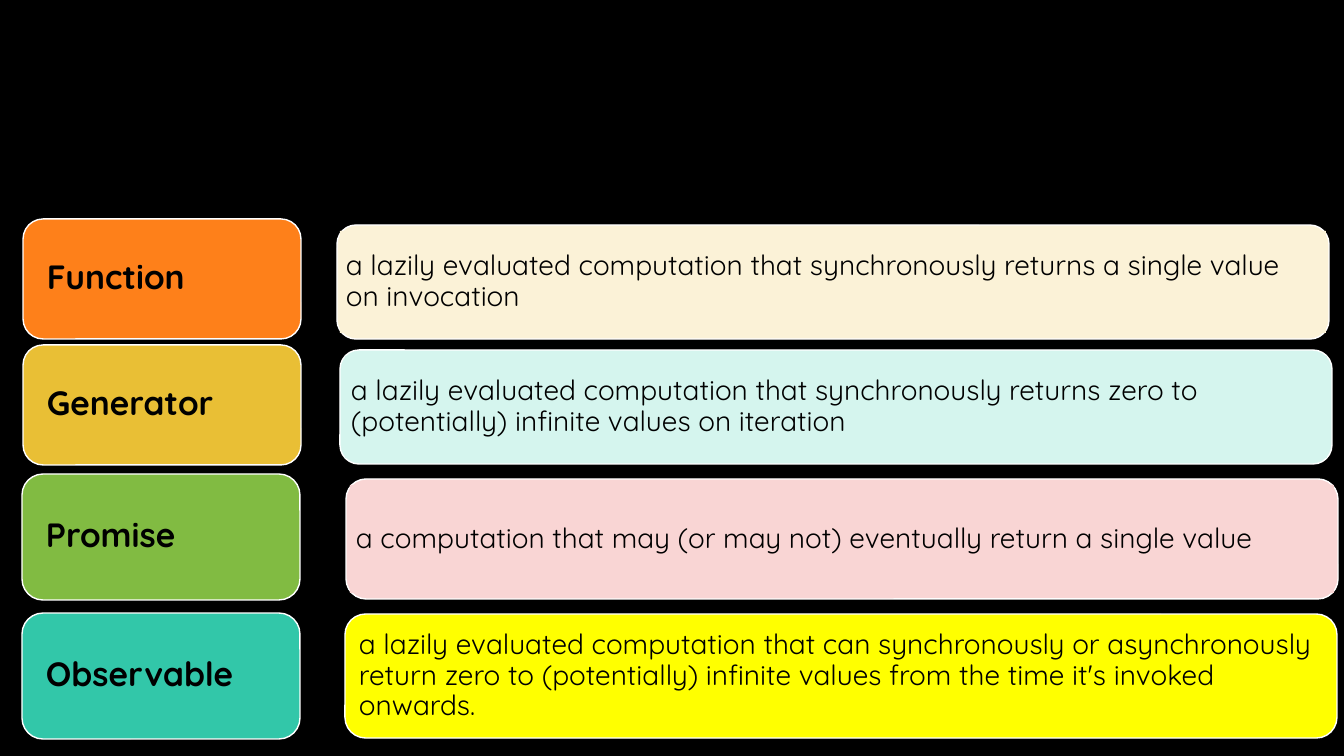
from pptx import Presentation
from pptx.dml.color import RGBColor
from pptx.enum.shapes import MSO_SHAPE
from pptx.enum.text import MSO_ANCHOR, PP_ALIGN
from pptx.util import Pt

SCALE = 914400 / 100.8


def px(*sizes):
    return [round(n * SCALE) for n in sizes]


def tint(code):
    return RGBColor.from_string(code)


class Deck:
    face, ink, edge = "Quicksand", "000000", "FFFFFF"

    def __init__(self, wide, high):
        self.prs = Presentation()
        self.prs.slide_width, self.prs.slide_height = px(wide, high)
        self.slide = self.prs.slides.add_slide(self.prs.slide_layouts[6])

    def back(self, code):
        fill = self.slide.background.fill
        fill.solid()
        fill.fore_color.rgb = tint(code)

    def shape(self, group, kind, spot, code):
        item = group.shapes.add_shape(kind, *px(*spot))
        item.shadow.inherit = False
        item.fill.solid()
        item.fill.fore_color.rgb = tint(code)
        return item

    def words(self, item, text, size, gap, bold):
        frame = item.text_frame
        inset, = px(gap)
        style = {"word_wrap": True, "vertical_anchor": MSO_ANCHOR.MIDDLE}
        for side in ("left", "top", "right", "bottom"):
            style[f"margin_{side}"] = inset
        para = frame.paragraphs[0]
        para.text = text
        lines = {"alignment": PP_ALIGN.LEFT, "line_spacing": 0.9,
                 "space_after": Pt(round(size * 0.35))}
        font = {"name": self.face, "size": Pt(size), "bold": bold}
        for part, values in ((frame, style), (para, lines), (para.runs[0].font, font)):
            for name, value in values.items():
                setattr(part, name, value)
        para.runs[0].font.color.rgb = tint(self.ink)

    def card(self, spot, pad, code, text, size, gap, bold=False):
        """Rounded card with its text area set in by pad."""
        group = self.slide.shapes.add_group_shape()
        box = self.shape(group, MSO_SHAPE.ROUNDED_RECTANGLE, spot, code)
        box.line.color.rgb = tint(self.edge)
        box.line.width = Pt(1)
        left, top, wide, high = spot
        inner = (left + pad, top + 6, wide - 2 * pad, high - 12)
        if bold:
            area = group.shapes.add_textbox(*px(*inner))
        else:
            area = self.shape(group, MSO_SHAPE.RECTANGLE, inner, code)
            area.line.fill.background()
        self.words(area, text, size, gap, bold)


# Term: left, top, height, colour, name
TERMS = [
    (23, 219, 120, "FE801A", "Function"),
    (23, 345, 120, "E9BF35", "Generator"),
    (22, 474, 126, "81BB42", "Promise"),
    (22, 613, 126, "32C7A9", "Observable"),
]

# Meaning: left, top, height, pad, inset, colour, text
NOTES = [
    (337, 225, 114, 3, 6, "FBF2D7",
     "a lazily evaluated computation that synchronously returns a single value on invocation"),
    (340, 350, 114, 5, 6, "D5F5EE",
     "a lazily evaluated computation that synchronously returns zero to "
     "(potentially) infinite values on iteration"),
    (346, 479, 120, 4, 6, "F9D5D4",
     "a computation that may (or may not) eventually return a single value"),
    (345, 614, 124, 7, 7, "FFFF00",
     "a lazily evaluated computation that can synchronously or asynchronously return "
     "zero to (potentially) infinite values from the time it's invoked onwards."),
]


def main():
    deck = Deck(1344, 756)
    deck.back("000000")
    # Meanings on the right
    for left, top, high, pad, gap, code, text in NOTES:
        deck.card((left, top, 992, high), pad, code, text, 20, gap)
    # Terms on the left
    for left, top, high, code, name in TERMS:
        deck.card((left, top, 278, high), 14, code, name, 24, 10, bold=True)
    deck.prs.save("out.pptx")


if __name__ == "__main__":
    main()
